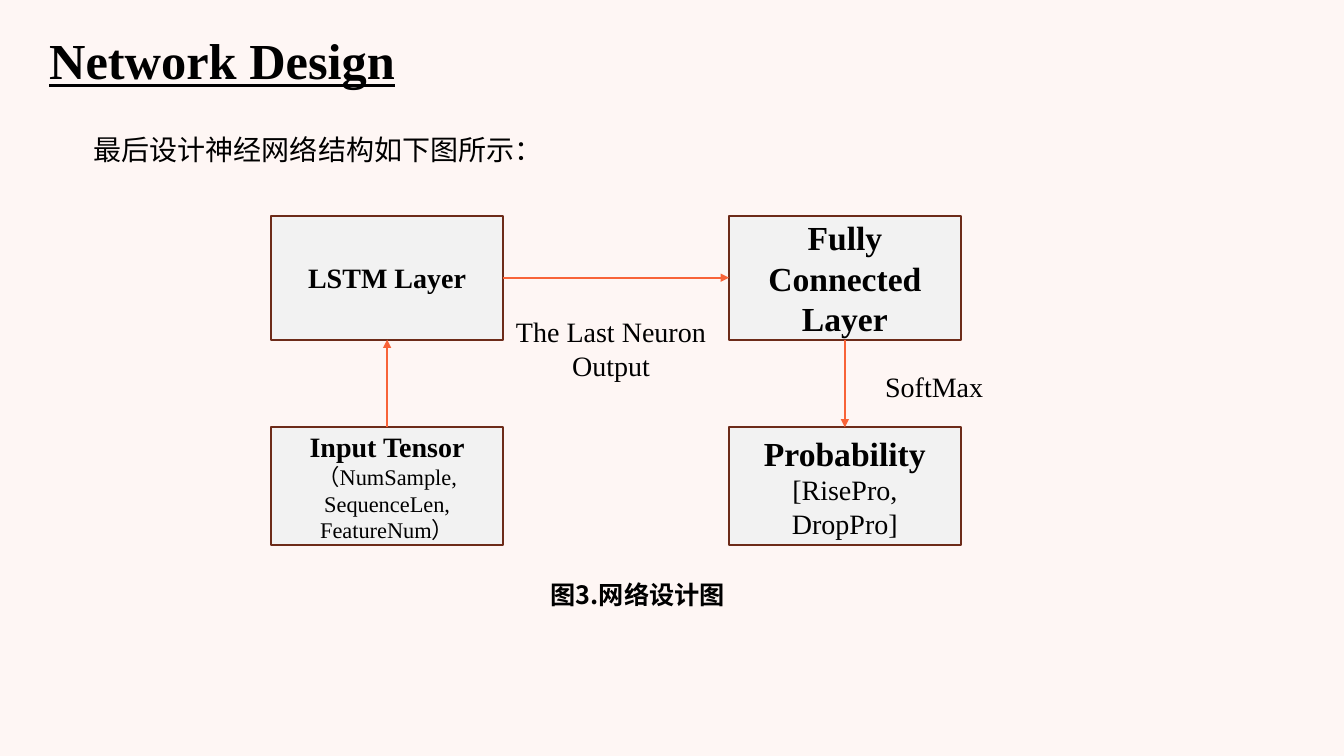
from dataclasses import dataclass

from lxml.etree import SubElement
from pptx import Presentation
from pptx.dml.color import RGBColor
from pptx.enum.shapes import MSO_CONNECTOR, MSO_SHAPE
from pptx.enum.text import MSO_ANCHOR, PP_ALIGN
from pptx.oxml.ns import qn
from pptx.util import Inches, Pt

LATIN, CJK = "Times New Roman", "Noto Sans CJK SC"
BACKGROUND, INK = "FEF6F4", "000000"
BOX_FILL, BOX_LINE, ARROW = "F2F2F2", "6D2B19", "F86338"

BOX_W = 2.3
LEFT_COL, RIGHT_COL = 2.69, 7.23
TOP_ROW, TOP_H = 2.14, 1.23
LOW_ROW, LOW_H = 4.24, 1.17


@dataclass
class Line:
    text: str
    size: int
    bold: bool = False
    underline: bool = False
    font: str = LATIN


@dataclass
class Block:
    left: float
    top: float
    width: float
    height: float
    lines: list[Line]
    align: PP_ALIGN = PP_ALIGN.CENTER
    anchor: MSO_ANCHOR = MSO_ANCHOR.TOP
    wrap: bool = True
    spacing: float = 1.0


@dataclass
class Arrow:
    x1: float
    y1: float
    x2: float
    y2: float


def node(left: float, top: float, height: float, *lines: Line) -> Block:
    return Block(left, top, BOX_W, height, list(lines), anchor=MSO_ANCHOR.MIDDLE)


TEXTS = [
    Block(0.39, 0.3, 4.53, 0.66, [Line("Network Design", 36, True, True)],
          PP_ALIGN.LEFT, MSO_ANCHOR.MIDDLE, spacing=0.9),
    Block(0.83, 1.27, 4.69, 0.44, [Line("最后设计神经网络结构如下图所示：", 20, font=CJK)],
          PP_ALIGN.LEFT, wrap=False),
    Block(7.89, 3.62, 2.75, 0.34, [Line("SoftMax", 20)]),
    Block(4.97, 3.07, 2.18, 0.6, [Line("The Last Neuron Output", 20)]),
    Block(2.83, 5.7, 6.99, 0.4, [Line("图3.网络设计图", 18, True, font=CJK)]),
]

NODES = [
    node(RIGHT_COL, TOP_ROW, TOP_H, Line("Fully Connected Layer", 24, True)),
    node(LEFT_COL, TOP_ROW, TOP_H, Line("LSTM Layer", 20, True)),
    node(LEFT_COL, LOW_ROW, LOW_H, Line("Input Tensor", 20, True),
         Line("（NumSample, SequenceLen,", 16), Line("FeatureNum）", 16)),
    node(RIGHT_COL, LOW_ROW, LOW_H, Line("Probability", 24, True),
         Line("[RisePro, DropPro]", 20)),
]

LEFT_MID, RIGHT_MID = LEFT_COL + BOX_W / 2, RIGHT_COL + BOX_W / 2
TOP_MID, TOP_END = TOP_ROW + TOP_H / 2, TOP_ROW + TOP_H
ARROWS = [
    Arrow(LEFT_MID, LOW_ROW, LEFT_MID, TOP_END),
    Arrow(LEFT_COL + BOX_W, TOP_MID, RIGHT_COL, TOP_MID),
    Arrow(RIGHT_MID, TOP_END, RIGHT_MID, LOW_ROW),
]


def rgb(value: str) -> RGBColor:
    return RGBColor.from_string(value)


def write(s, block: Block) -> None:
    tf = s.text_frame
    tf.word_wrap = block.wrap
    tf.vertical_anchor = block.anchor
    for i, line in enumerate(block.lines):
        p = tf.add_paragraph() if i else tf.paragraphs[0]
        p.alignment = block.align
        p.line_spacing = block.spacing
        r = p.add_run()
        r.text = line.text
        formats = {"name": line.font, "size": Pt(line.size),
                   "bold": line.bold, "underline": line.underline}
        for name, value in formats.items():
            setattr(r.font, name, value)
        r.font.color.rgb = rgb(INK)
        SubElement(r.font._element, qn("a:ea"), typeface=CJK)


def frame(block: Block) -> list[Inches]:
    return [Inches(v) for v in (block.left, block.top, block.width, block.height)]


def add_text(shapes, block: Block) -> None:
    write(shapes.add_textbox(*frame(block)), block)


def add_node(shapes, block: Block) -> None:
    s = shapes.add_shape(MSO_SHAPE.RECTANGLE, *frame(block))
    s.shadow.inherit = False
    s.fill.solid()
    s.fill.fore_color.rgb = rgb(BOX_FILL)
    s.line.color.rgb = rgb(BOX_LINE)
    s.line.width = Pt(1.5)
    write(s, block)


def add_arrow(shapes, arrow: Arrow) -> None:
    ends = [Inches(v) for v in (arrow.x1, arrow.y1, arrow.x2, arrow.y2)]
    s = shapes.add_connector(MSO_CONNECTOR.STRAIGHT, *ends)
    s.line.color.rgb = rgb(ARROW)
    s.line.width = Pt(1.5)
    sp_pr = s._element.spPr
    SubElement(sp_pr.find(qn("a:ln")), qn("a:tailEnd"), type="triangle")
    SubElement(sp_pr, qn("a:effectLst"))


def main() -> None:
    prs = Presentation()
    prs.slide_width, prs.slide_height = Inches(13.33), Inches(7.5)
    slide = prs.slides.add_slide(prs.slide_layouts[6])
    slide.background.fill.solid()
    slide.background.fill.fore_color.rgb = rgb(BACKGROUND)
    for draw, items in ((add_node, NODES), (add_arrow, ARROWS), (add_text, TEXTS)):
        for item in items:
            draw(slide.shapes, item)
    prs.save("out.pptx")


if __name__ == "__main__":
    main()
